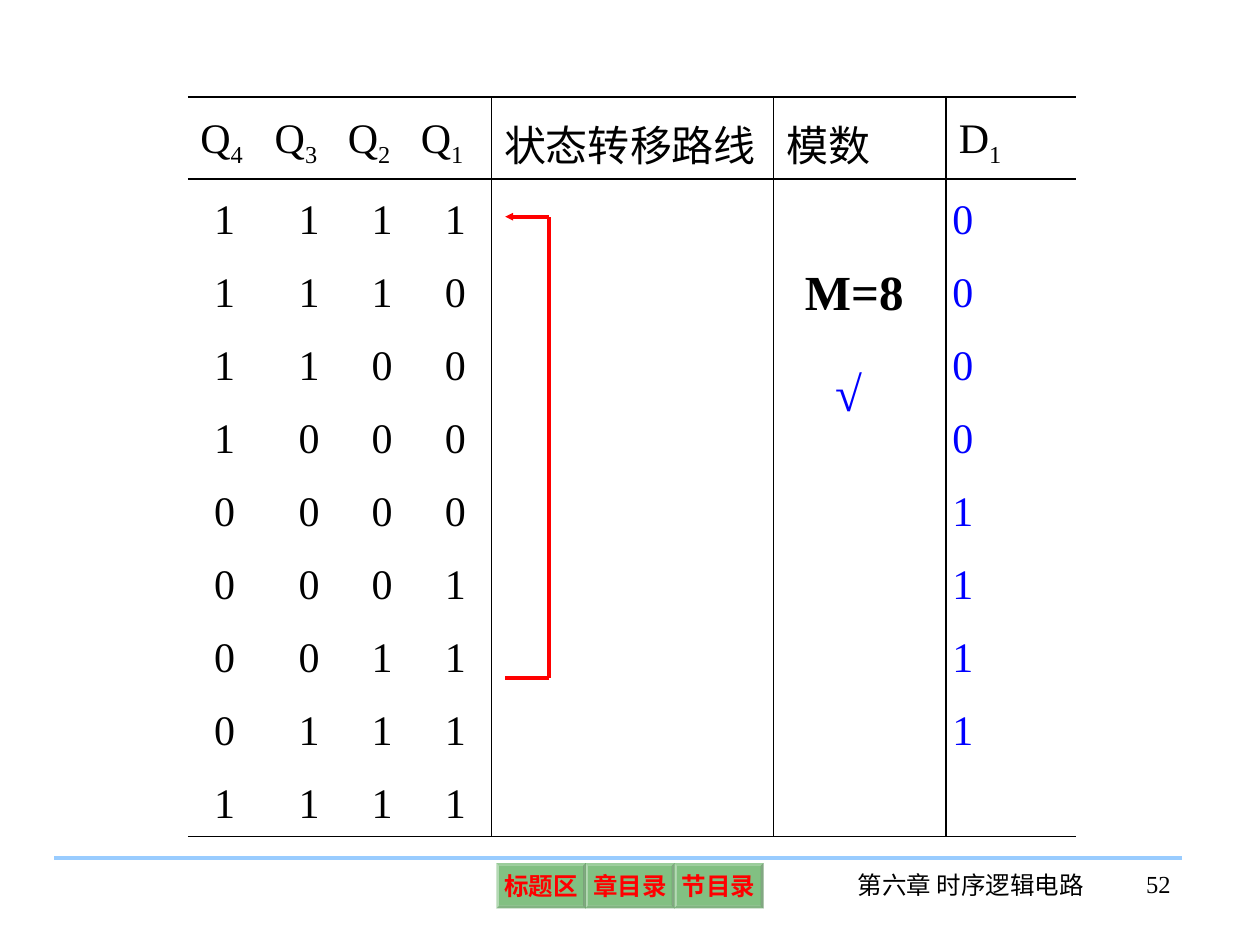
from lxml import etree
from pptx import Presentation, util as u
from pptx.dml.color import RGBColor
from pptx.enum import shapes, text
from pptx.oxml import parse_xml
from pptx.oxml.ns import nsdecls, qn

THEME = {
    "font": "Times New Roman",
    "black": RGBColor.from_string("000000"),
    "blue": RGBColor.from_string("0000FF"),
    "red": RGBColor.from_string("FF0000"),
    "sky": RGBColor.from_string("99CCFF"),
    "green": RGBColor.from_string("008000"),
    "table": u.Pt(24), "note": u.Pt(28), "small": u.Pt(14),
    "rule": u.Pt(2.25), "border": u.Pt(1.08),
}
MARGINS = ("margin_left", "margin_top", "margin_right", "margin_bottom")

deck = Presentation()
deck.slide_width, deck.slide_height = u.Inches(10), u.Inches(7.5)
page = deck.slides.add_slide(deck.slide_layouts[6])


def write(holder, words, size, color, bold=False, align=None, spacing=None,
          tabs=(), insets=(0.1, 0.05, 0.1, 0.05)):
    """Fill a cell or text frame; a piece after '_' is a one-letter subscript."""
    for name, inset in zip(MARGINS, insets):
        setattr(holder, name, u.Inches(inset))
    para = getattr(holder, "text_frame", holder).paragraphs[0]
    for name, value in {"alignment": align, "line_spacing": spacing}.items():
        setattr(para, name, value)
    if tabs:
        stops = etree.SubElement(para._p.get_or_add_pPr(), qn("a:tabLst"))
        for stop in tabs:
            etree.SubElement(stops, qn("a:tab"), pos=str(u.Inches(stop)), algn="l")
    first, *rest = words.split("_")
    pieces = [(first, False)]
    for piece in rest:
        pieces += [(piece[0], True), (piece[1:], False)]
    for piece, subscript in pieces:
        if not piece:
            continue
        span = para.add_run()
        span.text = piece
        for name, value in {"name": THEME["font"], "size": size, "bold": bold}.items():
            setattr(span.font, name, value)
        span.font.color.rgb = color
        if subscript:
            span._r.get_or_add_rPr().set("baseline", "-25000")


def rule(start, end, color):
    """Draw a straight line between two points in inches."""
    line = page.shapes.add_connector(
        shapes.MSO_CONNECTOR.STRAIGHT, *(u.Inches(n) for n in (*start, *end)))
    line.line.color.rgb, line.line.width = color, THEME["rule"]
    etree.SubElement(line._element.spPr, qn("a:effectLst"))
    return line


# Footer rule
rule((0.43, 6.81), (9.38, 6.81), THEME["sky"])

# State table: one header row and nine equal state rows
states = ["1111", "1110", "1100", "1000", "0000", "0001", "0011", "0111", "1111"]
feedback = "00001111"
columns, header_height, row_height = (2.41, 2.24, 1.37, 1.03), 0.65, 0.58
last_row, last_column = len(states), len(columns) - 1
frame = page.shapes.add_table(
    last_row + 1, len(columns), u.Inches(1.49), u.Inches(0.77),
    u.Inches(sum(columns)), u.Inches(header_height + last_row * row_height))
table = frame.table
table.first_row = table.horz_banding = False
for column, width in zip(table.columns, columns):
    column.width = u.Inches(width)
for index, row in enumerate(table.rows):
    row.height = u.Inches(row_height if index else header_height)

# Borders: header lines, bottom line and inner vertical lines
for r in range(last_row + 1):
    for c in range(last_column + 1):
        cell = table.cell(r, c)
        cell.fill.background()
        cell.vertical_anchor = text.MSO_ANCHOR.MIDDLE
        for name in MARGINS[1::2]:
            setattr(cell, name, u.Inches(0.03))
        shown = {"lnL": c > 0, "lnR": c < last_column, "lnT": r <= 1,
                 "lnB": r in (0, last_row)}
        for place, (tag, visible) in enumerate(shown.items()):
            paint = (f'<a:solidFill><a:srgbClr val="{THEME["black"]}"/></a:solidFill>'
                     if visible else "<a:noFill/>")
            cell._tc.get_or_add_tcPr().insert(place, parse_xml(
                f'<a:{tag} {nsdecls("a")} w="{THEME["border"]}">{paint}</a:{tag}>'))

# Header and state text
headings = ["Q_4\tQ_3\tQ_2\tQ_1", "状态转移路线", "模数", "D_1"]
for c, heading in enumerate(headings):
    write(table.cell(0, c), heading, THEME["table"], THEME["black"], spacing=1.2,
          tabs=() if c else (0.59, 1.17, 1.75), insets=(0.1, 0.02, 0.1, 0.03))
for r, state in enumerate(states, 1):
    write(table.cell(r, 0), "\t".join(state), THEME["table"], THEME["black"],
          spacing=1.2, tabs=(0.67, 1.25, 1.83), insets=(0.21, 0.05, 0.04, 0.05))
for r, bit in enumerate(feedback, 1):
    write(table.cell(r, last_column), bit, THEME["table"], THEME["blue"],
          spacing=1.2, insets=(0.05, 0.05, 0.04, 0.05))

# Return path of the state cycle
inner, outer, top, bottom = 4.01, 4.36, 1.72, 5.38
rule((inner, bottom), (outer, bottom), THEME["red"])
rule((outer, bottom), (outer, top), THEME["red"])
arrow = rule((outer, top), (inner, top), THEME["red"])
etree.SubElement(arrow.line._get_or_add_ln(), qn("a:tailEnd"),
                 type="triangle", w="sm", len="sm")

# Modulus notes and footer texts
right, center = text.PP_ALIGN.RIGHT, text.PP_ALIGN.CENTER
for words, area, size, color, bold, align in [
    ("M=8", (6.29, 2.03, 1.11, 0.57), "note", "black", True, None),
    ("√", (6.53, 2.83, 0.6, 0.57), "note", "blue", True, None),
    ("第六章 时序逻辑电路", (6.66, 6.86, 2.09, 0.5), "small", "black", False, center),
    ("52", (8.53, 6.85, 0.86, 0.5), "small", "black", False, right),
]:
    box = page.shapes.add_textbox(*(u.Inches(n) for n in area))
    box.text_frame.word_wrap = True
    write(box.text_frame, words, THEME[size], THEME[color], bold, align)

# Navigation buttons
button_width, button_height = 0.71, 0.36
for index, label in enumerate(["标题区", "章目录", "节目录"]):
    button = page.shapes.add_shape(
        shapes.MSO_SHAPE.BEVEL, u.Inches(3.94 + index * (button_width - 0.005)),
        u.Inches(6.85), u.Inches(button_width), u.Inches(button_height))
    button.adjustments[0] = 0.06
    button.shadow.inherit = False
    button.fill.solid()
    button.fill.fore_color.rgb = THEME["green"]
    tint = button._element.spPr.find(qn("a:solidFill"))[0]
    etree.SubElement(tint, qn("a:alpha"), val="49000")
    button.line.fill.background()
    button.text_frame.word_wrap = False
    button.text_frame.vertical_anchor = text.MSO_ANCHOR.MIDDLE
    write(button.text_frame, label, THEME["small"], THEME["red"], True, center,
          insets=(0.04,) * 4)

deck.save("out.pptx")
